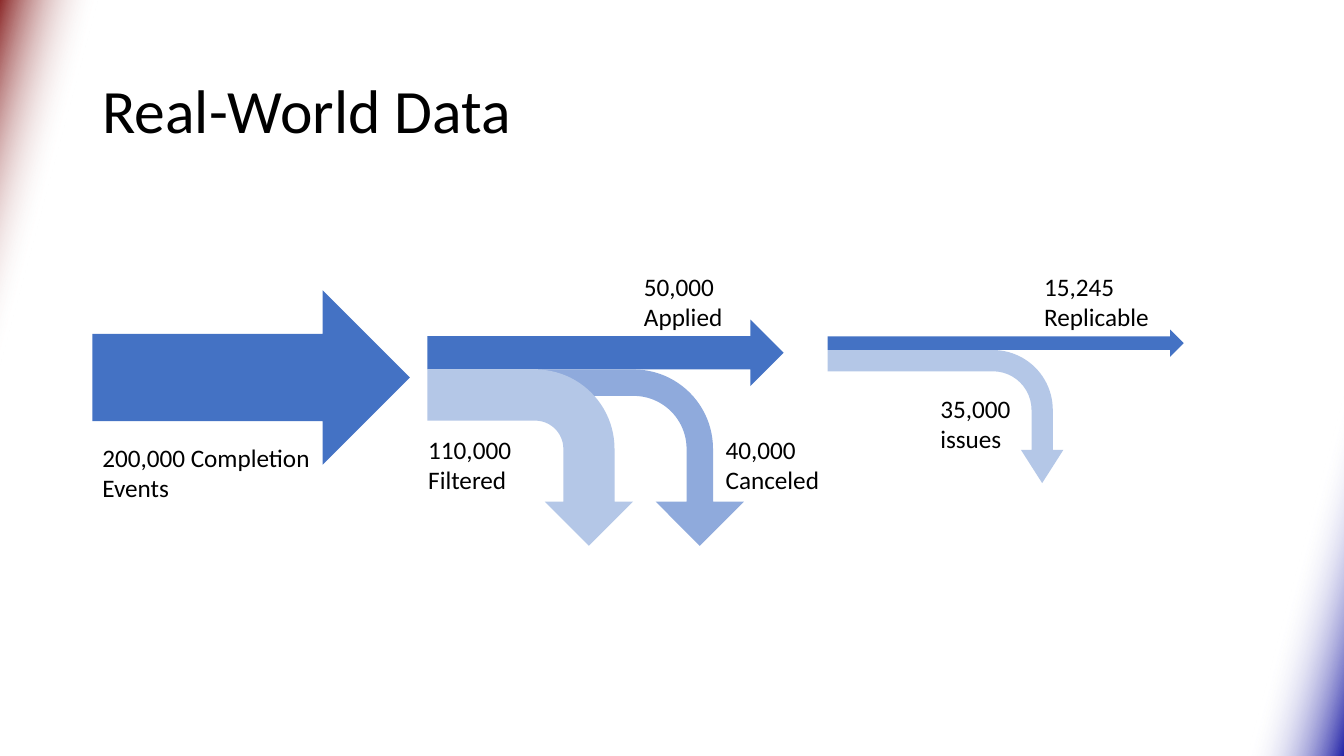
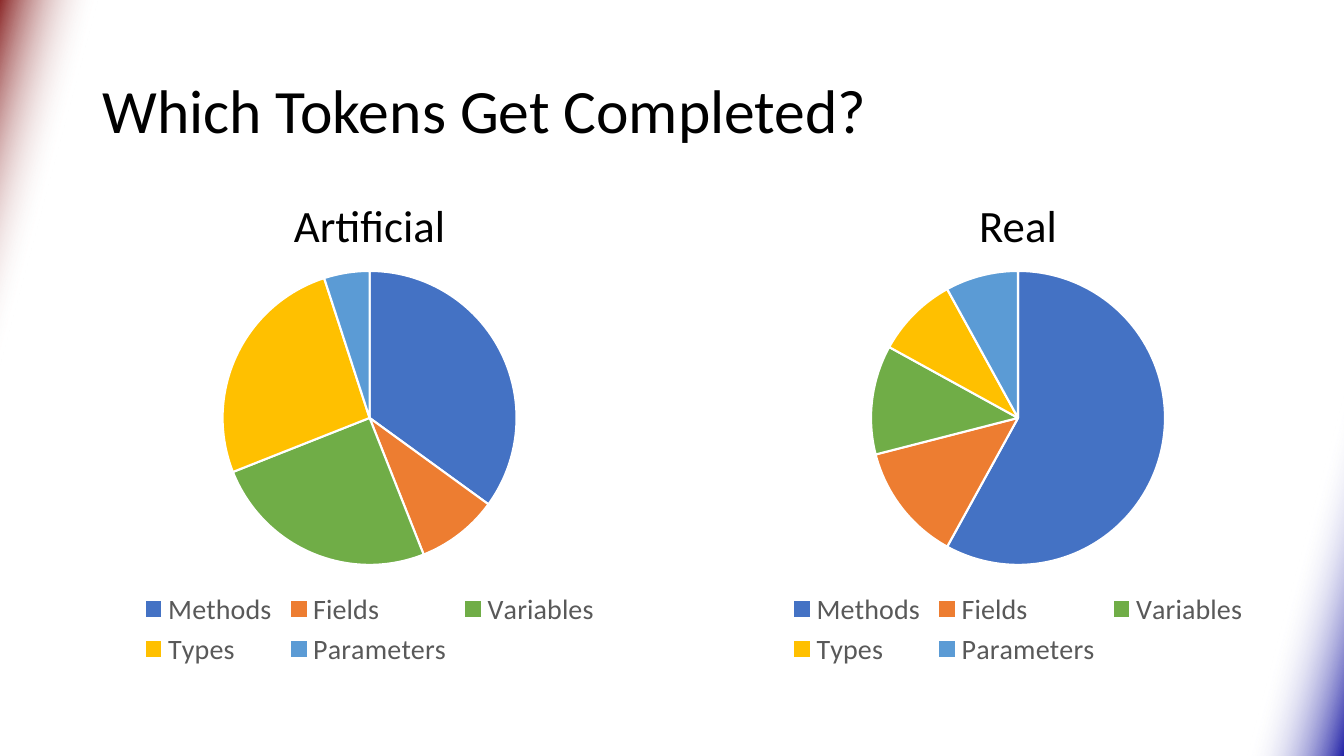
"""Build two slides on completion data: a flow of events and a pair of token charts."""
from lxml import etree
from pptx import Presentation
from pptx.chart.data import CategoryChartData
from pptx.dml.color import RGBColor
from pptx.enum.chart import XL_CHART_TYPE, XL_LEGEND_POSITION
from pptx.enum.shapes import MSO_SHAPE
from pptx.enum.text import MSO_ANCHOR, MSO_AUTO_SIZE, PP_ALIGN
from pptx.oxml.ns import qn
from pptx.util import Inches, Pt

RECTANGLE = MSO_SHAPE.RECTANGLE
RIGHT_ARROW = MSO_SHAPE.RIGHT_ARROW
BENT_ARROW = MSO_SHAPE.BENT_ARROW
PIE = XL_CHART_TYPE.PIE
LEGEND_BOTTOM = XL_LEGEND_POSITION.BOTTOM
MIDDLE = MSO_ANCHOR.MIDDLE
FIT_SHAPE = MSO_AUTO_SIZE.SHAPE_TO_FIT_TEXT
LEFT, CENTER = PP_ALIGN.LEFT, PP_ALIGN.CENTER

COLUMNS, ROWS = 40, 30
SLIDE_WIDTH, SLIDE_HEIGHT = Inches(40 / 3), Inches(7.5)
FONT = "Calibri"
TITLE_ONLY = 5
COLORS = {
    "text": "000000",
    "legend": "595959",
    "white": "FFFFFF",
    "red": "811515",
    "navy": "000099",
    "blue": "4472C4",
    "mid_blue": "8FAADC",
    "pale_blue": "B4C7E7",
    "orange": "ED7D31",
    "green": "70AD47",
    "gold": "FFC000",
    "sky": "5B9BD5",
}
TOKEN_COLORS = {
    "Methods": "blue",
    "Fields": "orange",
    "Variables": "green",
    "Types": "gold",
    "Parameters": "sky",
}


def color(name):
    """Return the named colour."""
    return RGBColor.from_string(COLORS[name])


def frame(left, top, width, height):
    """Turn grid columns and rows into slide lengths."""
    column, row = SLIDE_WIDTH / COLUMNS, SLIDE_HEIGHT / ROWS
    return round(left * column), round(top * row), round(width * column), round(height * row)


def style_font(font, size, color_name):
    """Set the typeface, size and colour of a font."""
    font.name = FONT
    font.size = Pt(size)
    font.color.rgb = color(color_name)


def write_lines(text_frame, lines, size, alignment=LEFT):
    """Write each line as a paragraph with one run."""
    for index, line in enumerate(lines):
        paragraph = text_frame.add_paragraph() if index else text_frame.paragraphs[0]
        paragraph.alignment = alignment
        run = paragraph.add_run()
        run.text = line
        style_font(run.font, size, "text")


def add_plain_shape(slide, preset, box):
    """Add a preset shape without shadow or outline."""
    shape = slide.shapes.add_shape(preset, *box)
    shape.shadow.inherit = False
    shape.line.fill.background()
    return shape


def add_master_band(presentation, slide, left, color_name, rotation):
    """Put a fading corner band behind everything on the slide master."""
    band = add_plain_shape(slide, RECTANGLE, frame(left, 0, 8.6, ROWS))
    band.rotation = rotation
    band.fill.gradient()
    band.fill.gradient_angle = 345
    stops = zip(band.fill.gradient_stops, (0, 0.2), (color_name, "white"))
    for stop, position, stop_color in stops:
        stop.position = position
        stop.color.rgb = color(stop_color)
    for element, opacity in zip(band.element.iter(qn("a:srgbClr")), (90, 0)):
        etree.SubElement(element, qn("a:alpha"), val=str(opacity * 1000))
    presentation.slide_master.shapes.element.insert(2, band.element)


def add_titled_slide(presentation, title):
    """Add a title-only slide and format its title."""
    slide = presentation.slides.add_slide(presentation.slide_layouts[TITLE_ONLY])
    shape = slide.shapes.title
    shape.left, shape.top, shape.width, shape.height = frame(2.75, 1.6, 34.5, 5.8)
    shape.text_frame.vertical_anchor = MIDDLE
    write_lines(shape.text_frame, [title], 44)
    shape.text_frame.paragraphs[0].line_spacing = 0.9
    return slide


def add_text(slide, box, lines, size, alignment=LEFT):
    """Add a wrapping text box."""
    text_frame = slide.shapes.add_textbox(*box).text_frame
    text_frame.word_wrap = True
    text_frame.auto_size = FIT_SHAPE
    write_lines(text_frame, lines, size, alignment)


def add_flow_arrow(slide, left, top, width, height):
    """Add a straight arrow for the main flow."""
    arrow = add_plain_shape(slide, RIGHT_ARROW, frame(left, top, width, height))
    arrow.fill.solid()
    arrow.fill.fore_color.rgb = color("blue")


def add_branch_arrow(slide, box, color_name, shaft, head):
    """Add an arrow that leaves to the right and turns down within the box."""
    left, top, width, height = box
    shift = (width - height) // 2
    arrow = add_plain_shape(slide, BENT_ARROW, (left + shift, top - shift, height, width))
    arrow.rotation = 90
    for index, value in enumerate((shaft, head, 0.25, 0.45)):
        arrow.adjustments[index] = value
    arrow.fill.solid()
    arrow.fill.fore_color.rgb = color(color_name)


def add_split(slide, left, top, height, branches):
    """Add a flow arrow with branches that start at the lower edge of its shaft."""
    add_flow_arrow(slide, left, top, 10.6, height)
    for offset, width, depth, color_name, shaft, head in branches:
        box = frame(left + offset, top + 0.75 * height, width, depth)
        add_branch_arrow(slide, box, color_name, shaft, head)


def add_token_pie(slide, left, heading, values):
    """Add a headed pie chart of token kinds."""
    width = 20.6
    add_text(slide, frame(left, 7.64, width, 2.56), [heading], 32, CENTER)
    data = CategoryChartData()
    data.categories = list(TOKEN_COLORS)
    data.add_series("Series 1", values)
    chart = slide.shapes.add_chart(PIE, *frame(left, 10.2, width, 16.48), data).chart
    chart.has_title = False
    style_font(chart.font, 20, "text")
    chart.has_legend = True
    chart.legend.position = LEGEND_BOTTOM
    chart.legend.include_in_layout = False
    style_font(chart.legend.font, 20, "legend")
    plot = chart.plots[0]
    plot.vary_by_categories = True
    for index, color_name in enumerate(TOKEN_COLORS.values()):
        slice_format = plot.series[0].points[index].format
        slice_format.fill.solid()
        slice_format.fill.fore_color.rgb = color(color_name)
        slice_format.line.color.rgb = color("white")
        slice_format.line.width = Pt(1.5)


def build_flow_slide(presentation):
    """Build the slide that follows completion events and return it."""
    slide = add_titled_slide(presentation, "Real-World Data")
    add_flow_arrow(slide, 2.75, 11.52, 9.45, 6.92)
    add_split(slide, 12.72, 12.68, 2.64, [
        (3.3, 6.12, 7, "mid_blue", 0.15, 0.25),
        (0, 6.12, 7, "pale_blue", 0.29, 0.25),
    ])
    add_split(slide, 24.63, 13.08, 1.08, [(0, 7.02, 5.28, "pale_blue", 0.16, 0.16)])
    labels = [
        (2.75, 17.36, ["200,000 Completion Events"]),
        (12.45, 17.04, ["110,000", "Filtered"]),
        (21.3, 17.04, ["40,000", "Canceled"]),
        (18.87, 10.56, ["50,000", "Applied"]),
        (30.78, 10.56, ["15,245", "Replicable"]),
        (27.69, 15.4, ["35,000", "issues"]),
    ]
    for left, top, lines in labels:
        add_text(slide, frame(left, top, 7.53, 2.84), lines, 18)
    return slide


def build_token_slide(presentation):
    """Build the slide that compares completed tokens."""
    slide = add_titled_slide(presentation, "Which Tokens Get Completed?")
    add_token_pie(slide, 0.7, "Artificial", (35, 9, 25, 26, 5))
    add_token_pie(slide, 20, "Real", (58, 13, 12, 9, 8))


def main():
    """Create and save the presentation."""
    presentation = Presentation()
    presentation.slide_width, presentation.slide_height = SLIDE_WIDTH, SLIDE_HEIGHT
    flow_slide = build_flow_slide(presentation)
    add_master_band(presentation, flow_slide, 0, "red", 0)
    add_master_band(presentation, flow_slide, 31.4, "navy", 180)
    build_token_slide(presentation)
    presentation.save("out.pptx")


if __name__ == "__main__":
    main()
